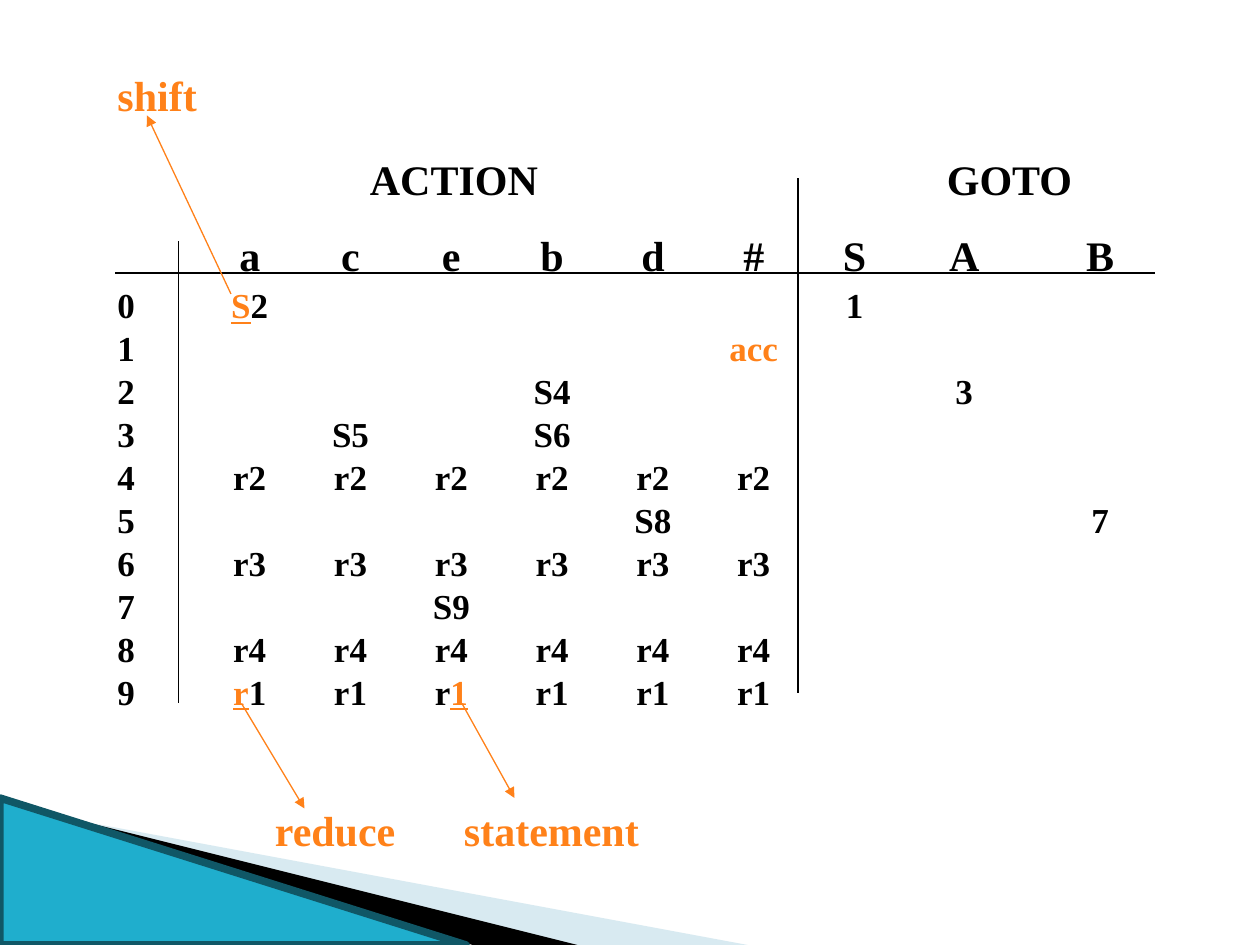
from lxml.etree import SubElement
from pptx import Presentation
from pptx.dml.color import RGBColor
from pptx.enum.shapes import MSO_CONNECTOR, MSO_SHAPE
from pptx.enum.text import MSO_AUTO_SIZE
from pptx.oxml.ns import qn
from pptx.util import Inches, Pt

COLORS = {"text": "000000", "accent": "FF8119", "teal": "1FAECD",
          "edge": "105766", "pale": "9FCBDC"}
UNITS_PER_INCH = 12
TEXT_LEFT = 0.93
SYMBOLS = ["a", "c", "e", "b", "d", "#", "S", "A", "B"]
CENTERS = [1.98 + 0.8 * i for i in range(7)] + [7.65, 8.73]
GROUP_CENTERS = [3.6, 8.01]
REDUCTIONS = {4: "r2", 6: "r3", 8: "r4", 9: "r1"}
ENTRIES = {
    0: {"a": "|_S|2", "S": "1"},
    1: {"#": "|acc|"},
    2: {"b": "S4", "A": "3"},
    3: {"c": "S5", "b": "S6"},
    5: {"d": "S8", "B": "7"},
    7: {"e": "S9"},
    9: {"a": "|_r|1", "e": "r|_1|"},
}


def rgb(name):
    return RGBColor.from_string(COLORS[name])


def grid(units):
    return Inches(units / UNITS_PER_INCH)


def format_run(run, *, size=24, color="text", underline=False):
    font = run.font
    font.name, font.size, font.bold = "Times New Roman", Pt(size), True
    font.color.rgb = rgb(color)
    font.underline = underline


def state_row(state):
    cells = dict.fromkeys(SYMBOLS[:6], REDUCTIONS[state]) if state in REDUCTIONS else {}
    cells.update(ENTRIES.get(state, {}))
    line = [str(state)] + [cells.get(symbol, "") for symbol in SYMBOLS]
    return "\t".join(line).rstrip("\t")


class SlideBuilder:
    def __init__(self, slide):
        self.slide = slide
        self.shapes = slide.shapes

    def paint(self, shape, fill, alpha=None):
        shape.shadow.inherit = False
        shape.fill.solid()
        shape.fill.fore_color.rgb = rgb(fill)
        shape.line.fill.background()
        if alpha:
            color = shape.fill._xPr.find(qn("a:solidFill"))[0]
            SubElement(color, qn("a:alpha"), val=str(alpha * 1000))

    def polygon(self, points, fill, alpha=None):
        corners = [(grid(x), grid(y)) for x, y in points]
        builder = self.shapes.build_freeform(*corners[0], scale=1.0)
        builder.add_line_segments(corners[1:], close=True)
        self.paint(builder.convert_to_shape(), fill, alpha)

    def triangle(self, x, y, width, height, fill, edge):
        shape = self.shapes.add_shape(MSO_SHAPE.RIGHT_TRIANGLE,
                                      *map(grid, (x, y, width, height)))
        self.paint(shape, fill)
        shape.line.color.rgb = rgb(edge)
        shape.line.width = Pt(4.34)

    def line(self, start, end, color="text", arrow=False):
        connector = self.shapes.add_connector(
            MSO_CONNECTOR.STRAIGHT, *map(grid, (*start, *end)))
        connector.line.color.rgb = rgb(color)
        connector.line.width = Pt(0.75)
        if arrow:
            SubElement(connector.line._get_or_add_ln(), qn("a:tailEnd"), type="triangle")
        SubElement(connector._element.spPr, qn("a:effectLst"))

    def text_box(self, x, y, width, height):
        frame = self.shapes.add_textbox(*map(grid, (x, y, width, height))).text_frame
        frame.word_wrap = True
        frame.auto_size = MSO_AUTO_SIZE.SHAPE_TO_FIT_TEXT
        return frame

    def label(self, text, x, y, width):
        run = self.text_box(x, y, width, 6).paragraphs[0].add_run()
        run.text = text
        format_run(run, color="accent")

    def tabbed_line(self, paragraph, text, centers, size=24):
        tabs = SubElement(paragraph._p.get_or_add_pPr(), qn("a:tabLst"))
        for center in centers:
            SubElement(tabs, qn("a:tab"), pos=str(Inches(center - TEXT_LEFT)), algn="ctr")
        for index, piece in enumerate(text.split("|")):
            if piece:
                run = paragraph.add_run()
                run.text = piece.lstrip("_")
                format_run(run, size=size, color="accent" if index % 2 else "text",
                           underline=piece.startswith("_"))

    def parse_table(self, x, y, width, height):
        frame = self.text_box(x, y, width, height)
        self.tabbed_line(frame.paragraphs[0], "\tACTION\tGOTO", GROUP_CENTERS)
        symbols = frame.add_paragraph()
        symbols.space_before = Pt(15)
        self.tabbed_line(symbols, "\t" + "\t".join(SYMBOLS), CENTERS)
        for state in range(10):
            row = frame.add_paragraph()
            row.line_spacing = 0.5
            row.space_before = Pt(12.5)
            self.tabbed_line(row, state_row(state), CENTERS, size=20)


def main():
    presentation = Presentation()
    presentation.slide_width, presentation.slide_height = Inches(10), Inches(7.5)
    builder = SlideBuilder(presentation.slides.add_slide(presentation.slide_layouts[6]))

    builder.polygon([(6.6, 78), (71.2, 90), (54.7, 90)], "pale", alpha=40)
    builder.polygon([(7, 78), (55, 90), (45, 90)], "text")
    builder.triangle(0, 76, 44.4, 14, "teal", "edge")

    builder.parse_table(10, 14, 104, 54)
    for start, end in [((76, 17), (76, 66)), ((11, 26), (110, 26)), ((17, 23), (17, 67))]:
        builder.line(start, end)
    for start, end in [((22, 28), (14, 11)), ((23, 67), (29, 77)), ((44, 67), (49, 76))]:
        builder.line(start, end, color="accent", arrow=True)
    for text, x, y, width in [("shift", 10, 6, 15), ("reduce", 25, 76, 15),
                              ("statement", 43, 76, 21)]:
        builder.label(text, x, y, width)

    presentation.save("out.pptx")


if __name__ == "__main__":
    main()
